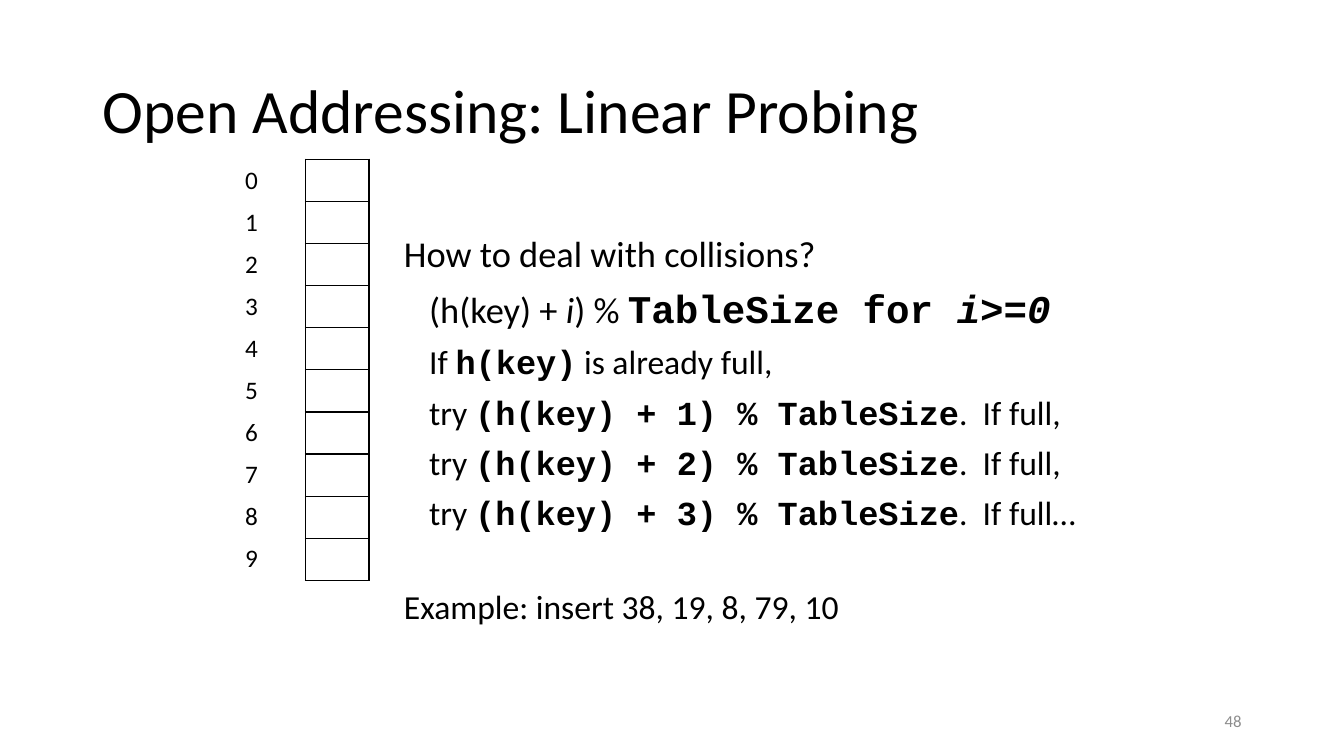
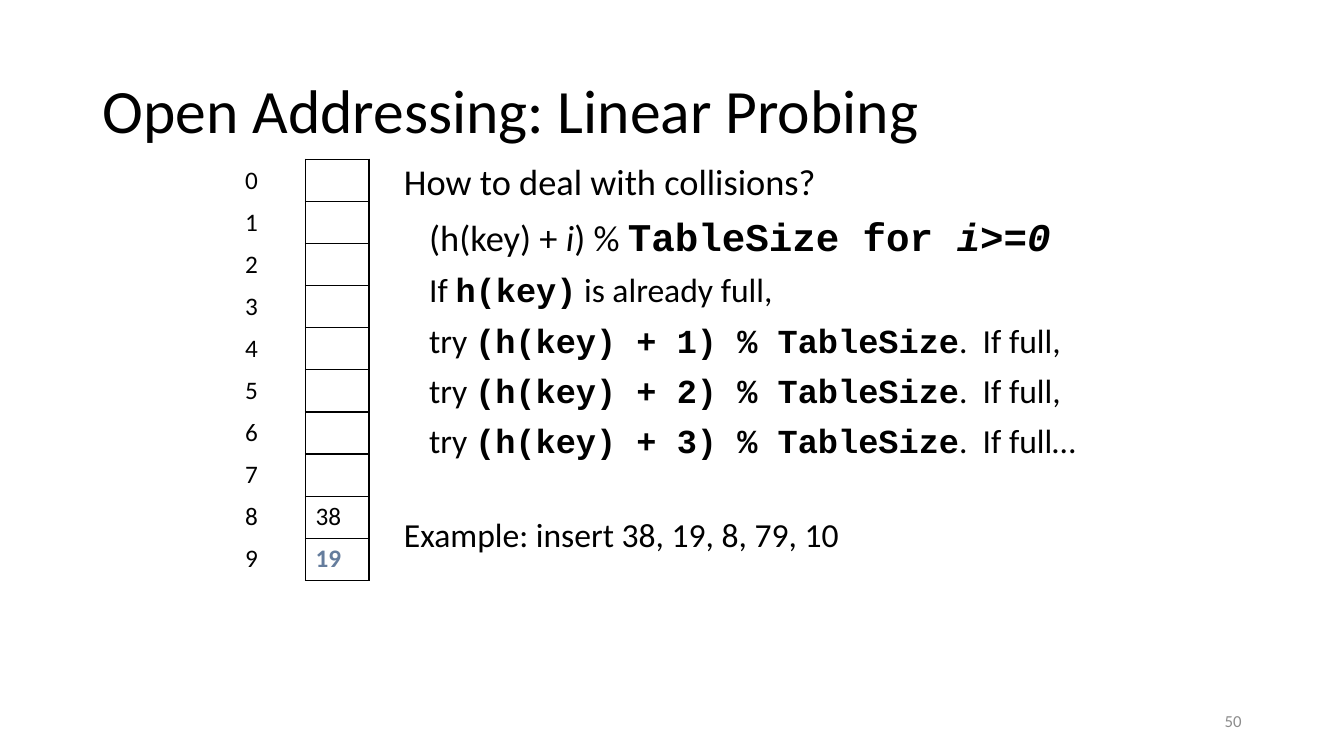
from dataclasses import dataclass

from lxml import etree
from pptx import Presentation
from pptx.dml.color import RGBColor
from pptx.enum.text import MSO_ANCHOR, MSO_AUTO_SIZE, PP_ALIGN
from pptx.oxml.ns import qn
from pptx.util import Pt

MIDDLE = MSO_ANCHOR.MIDDLE
NO_AUTOFIT = MSO_AUTO_SIZE.NONE
LEFT, RIGHT = PP_ALIGN.LEFT, PP_ALIGN.RIGHT


@dataclass(frozen=True)
class Theme:
    ink: str = "000000"
    accent: str = "657D9D"
    muted: str = "8C8C8C"
    sans: str = "Calibri"
    mono: str = "Courier New"
    title: int = 44
    formula: int = 28
    lead: int = 26
    body: int = 24
    cell: int = 18
    number: int = 12
    leading: float = 0.9


@dataclass(frozen=True)
class Box:
    left: float
    top: float
    width: float
    height: float

    def lengths(self):
        return [Pt(v) for v in (self.left, self.top, self.width, self.height)]


THEME = Theme()
TITLE_BOX = Box(66, 28.8, 828, 104.4)
TABLE_BOX = Box(167.8, 113.8, 95.8, 300.8)
NUMBER_BOX = Box(678, 500.4, 216, 28.8)
INDEX_WIDTH = 50.4
TABLE_SIZE = 10

CODE = {"name": THEME.mono, "bold": True}
FORMULA = {**CODE, "size": Pt(THEME.formula)}
ITALIC = {"italic": True}


def probe_step(step, ending):
    return THEME.body, 18, 10, [
        ("try ", {}), (f"(h(key) + {step}) % TableSize", CODE), (f".  If full{ending}", {})]


EXPLANATION = [
    (THEME.lead, 0, 0, [("How to deal with collisions?", {})]),
    (THEME.lead, 18, 10, [
        ("(h(key) + ", {}), ("i", ITALIC), (") % ", {}),
        ("TableSize for ", FORMULA), ("i>=0", {**FORMULA, **ITALIC})]),
    (THEME.body, 18, 10, [("If ", {}), ("h(key)", CODE), (" is already full,", {})]),
    probe_step(1, ","),
    probe_step(2, ","),
    probe_step(3, "…"),
    (THEME.body, 0, 41, [("Example: insert 38, 19, 8, 79, 10", {})]),
]


def style(font, size, color=THEME.ink, bold=False):
    font.name = THEME.sans
    font.size = Pt(size)
    font.bold = bold
    font.color.rgb = RGBColor.from_string(color)


def add_title(slide, box, text):
    title = slide.shapes.title
    title.left, title.top, title.width, title.height = box.lengths()
    frame = title.text_frame
    frame.text = text
    frame.auto_size = NO_AUTOFIT
    frame.vertical_anchor = MIDDLE
    heading = frame.paragraphs[0]
    heading.alignment = LEFT
    heading.line_spacing = THEME.leading
    style(heading.font, THEME.title)


def add_explanation(slide, box, inset):
    frame = slide.shapes.add_textbox(*box.lengths()).text_frame
    frame.word_wrap = True
    frame.margin_top = Pt(inset)
    for position, (size, indent, gap, spans) in enumerate(EXPLANATION):
        line = frame.add_paragraph() if position else frame.paragraphs[0]
        line.line_spacing = THEME.leading
        line.space_before = Pt(gap)
        properties = line._p.get_or_add_pPr()
        properties.set("marL", str(Pt(indent)))
        properties.set("indent", "0")
        style(line.font, size)
        for text, overrides in spans:
            span = line.add_run()
            span.text = text
            for attribute, value in overrides.items():
                setattr(span.font, attribute, value)


def set_borders(cell, visible):
    properties = cell._tc.get_or_add_tcPr()
    for side in "LRTB":
        border = etree.SubElement(properties, qn(f"a:ln{side}"), w=str(Pt(1)))
        if side in visible:
            fill = etree.SubElement(border, qn("a:solidFill"))
            etree.SubElement(fill, qn("a:srgbClr"), val=THEME.ink)
        else:
            etree.SubElement(border, qn("a:noFill"))


def fill_cell(cell, text, borders, color=THEME.ink, bold=False):
    set_borders(cell, borders)
    cell.fill.background()
    cell.vertical_anchor = MIDDLE
    cell.text = text
    style(cell.text_frame.paragraphs[0].font, THEME.cell, color, bold)


def add_hash_table(slide, box, entries, newest):
    table = slide.shapes.add_table(TABLE_SIZE, 2, *box.lengths()).table
    table.first_row = table.horz_banding = False
    table.columns[0].width = Pt(INDEX_WIDTH)
    table.columns[1].width = Pt(box.width - INDEX_WIDTH)
    for index, row in enumerate(table.rows):
        row.height = Pt(box.height / TABLE_SIZE)
        is_newest = index == newest
        fill_cell(row.cells[0], str(index), "R")
        fill_cell(row.cells[1], entries.get(index, ""), "LRTB",
                  THEME.accent if is_newest else THEME.ink, is_newest)


def add_slide_number(slide, box, number):
    frame = slide.shapes.add_textbox(*box.lengths()).text_frame
    frame.word_wrap = True
    frame.vertical_anchor = MIDDLE
    frame.text = str(number)
    label = frame.paragraphs[0]
    label.alignment = RIGHT
    style(label.font, THEME.number, THEME.muted)


def add_probing_slide(deck, number, text_box, inset, entries, newest=None):
    slide = deck.slides.add_slide(deck.slide_layouts.get_by_name("Title Only"))
    add_title(slide, TITLE_BOX, "Open Addressing: Linear Probing")
    add_explanation(slide, text_box, inset)
    add_hash_table(slide, TABLE_BOX, entries, newest)
    add_slide_number(slide, NUMBER_BOX, number)


def main():
    deck = Presentation()
    deck.slide_width, deck.slide_height = Pt(960), Pt(540)
    add_probing_slide(deck, 48, Box(281.5, 126.7, 540, 365), 42, {})
    add_probing_slide(deck, 50, Box(281.5, 113.8, 540, 378), 3.6, {8: "38", 9: "19"}, 9)
    deck.save("out.pptx")


if __name__ == "__main__":
    main()
